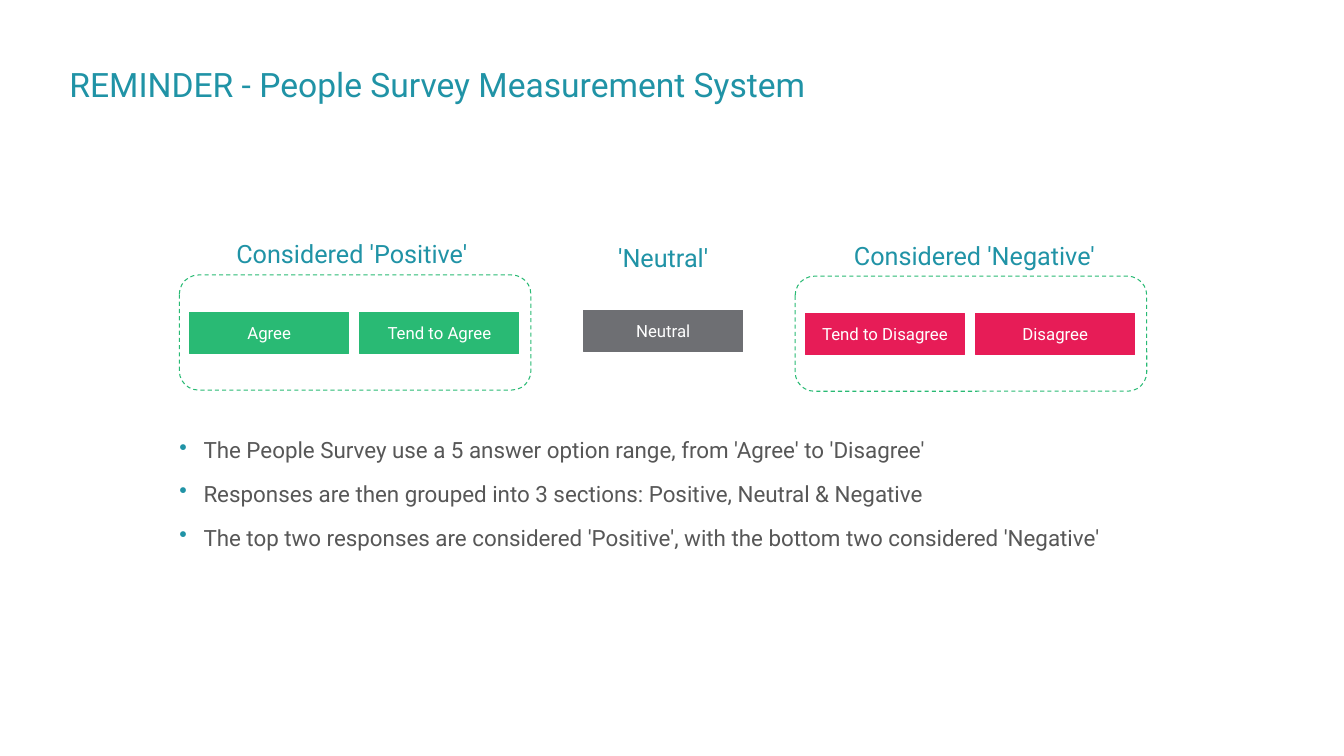
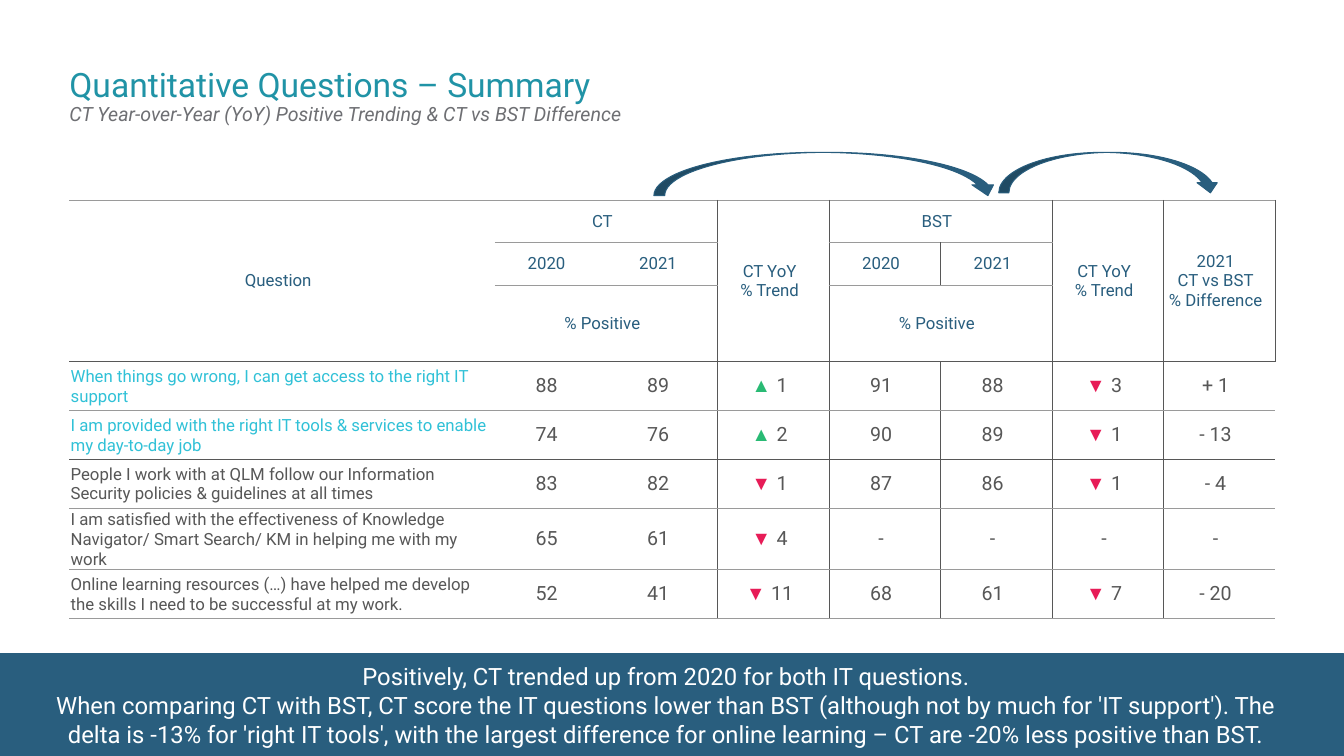
from lxml.etree import SubElement
from pptx import Presentation
from pptx.dml.color import RGBColor
from pptx.enum.dml import MSO_LINE
from pptx.enum.shapes import MSO_SHAPE
from pptx.enum.text import MSO_ANCHOR, PP_ALIGN
from pptx.oxml.ns import qn
from pptx.util import Cm, Pt

TEAL = "2093A6"
NAVY = "295E7E"
GREEN = "29BA74"
RED = "E71C57"
GREY = "6E6F73"
INK = "575757"
RULE = "9A9A9A"
AQUA = "30C1D7"
WHITE = "FFFFFF"

NO_STYLE = "{2D5ABB26-0587-4C30-8999-92F81FD0307C}"
TREND_COLOURS = {"▲": GREEN, "▼": RED}
THIN_RULE = (RULE, 0.75)
DARK_RULE = (INK, 1)

COLUMN_WIDTHS = [10.72] + [2.81] * 7
ROW_HEIGHTS = [1.07, 1.07, 1.91, 1.23, 1.23, 1.23, 1.52, 1.23]
HEADERS = [
    (0, 0, 2, 0, ["Question"]),
    (0, 1, 0, 2, ["CT"]),
    (0, 3, 2, 3, ["CT YoY", "% Trend"]),
    (0, 4, 0, 5, ["BST"]),
    (0, 6, 2, 6, ["CT YoY", "% Trend"]),
    (0, 7, 2, 7, ["2021", "CT vs BST", "% Difference"]),
    (1, 1, 1, 1, ["2020"]),
    (1, 2, 1, 2, ["2021"]),
    (1, 4, 1, 4, ["2020"]),
    (1, 5, 1, 5, ["2021"]),
    (2, 1, 2, 2, ["% Positive"]),
    (2, 4, 2, 5, ["% Positive"]),
]
RESULTS = [
    (AQUA, "When things go wrong, I can get access to the right IT support",
     ["88", "89", "▲ 1", "91", "88", "▼ 3", "+ 1"]),
    (AQUA, "I am provided with the right IT tools & services to enable my day-to-day job",
     ["74", "76", "▲ 2", "90", "89", "▼ 1", "- 13"]),
    (INK, "People I work with at QLM follow our Information Security policies & guidelines at all times",
     ["83", "82", "▼ 1", "87", "86", "▼ 1", "- 4"]),
    (INK, "I am satisfied with the effectiveness of Knowledge Navigator/ Smart Search/ KM in helping me with my work",
     ["65", "61", "▼ 4", "-", "-", "-", "-"]),
    (INK, "Online learning resources (…) have helped me develop the skills I need to be successful at my work.",
     ["52", "41", "▼ 11", "68", "61", "▼ 7", "- 20"]),
]


def colour(value):
    return RGBColor.from_string(value)


def apply_format(target, values):
    for name, value in values.items():
        setattr(target, name, value)


def margins(left, top, right, bottom):
    sides = zip(("left", "top", "right", "bottom"), (left, top, right, bottom))
    return {f"margin_{side}": Cm(size) for side, size in sides}


def place(left, top, width, height):
    return [Cm(length) for length in (left, top, width, height)]


def add_span(para, text, size, shade, **extra):
    span = para.add_run()
    span.text = text
    apply_format(span.font, {"name": "Roboto", "size": Pt(size), **extra})
    span.font.color.rgb = colour(shade)


def write_lines(frame, lines, size, shade, align=PP_ALIGN.CENTER):
    for index, line in enumerate(lines):
        para = frame.add_paragraph() if index else frame.paragraphs[0]
        para.alignment = align
        add_span(para, line, size, shade)


def add_box(page, area, **frame_format):
    frame = page.shapes.add_textbox(*place(*area)).text_frame
    apply_format(frame, {"word_wrap": True, **frame_format})
    return frame


def add_shape(page, kind, area, fill=None, line=None):
    shape = page.shapes.add_shape(kind, *place(*area))
    shape.shadow.inherit = False
    if fill:
        shape.fill.solid()
        shape.fill.fore_color.rgb = colour(fill)
    else:
        shape.fill.background()
    shape.line.color.rgb = colour(line or fill)
    shape.line.width = Pt(0.75)
    return shape


def add_title(page, title, subtitle=None):
    frame = add_box(page, (1.75, 1.73, 30.38, 0.91), **margins(0, 0, 0, 0))
    para = frame.paragraphs[0]
    para.line_spacing = 0.9
    add_span(para, title, 24, TEAL)
    if subtitle:
        para.add_line_break()
        add_span(para, subtitle, 14, GREY, italic=True)


def add_heading(page, area, text):
    frame = add_box(page, area, vertical_anchor=MSO_ANCHOR.MIDDLE)
    write_lines(frame, [text], 18, TEAL)


def add_answer(page, left, top, text, fill):
    button = add_shape(page, MSO_SHAPE.RECTANGLE, (left, top, 4.01, 1.04), fill)
    apply_format(button.text_frame, {"word_wrap": True, "vertical_anchor": MSO_ANCHOR.MIDDLE})
    write_lines(button.text_frame, [text], 12, WHITE)


def add_answer_group(page, left, top, answers, fill):
    frame = add_shape(page, MSO_SHAPE.ROUNDED_RECTANGLE, (left, top, 8.86, 2.9), line=GREEN)
    frame.line.dash_style = MSO_LINE.DASH
    for index, answer in enumerate(answers):
        add_answer(page, left + 0.26 + index * 4.29, top + 0.94, answer, fill)


def add_bullets(page, area, lines):
    frame = add_box(page, area, **margins(0, 0, 0, 0))
    write_lines(frame, lines, 16, INK, PP_ALIGN.LEFT)
    for index, para in enumerate(frame.paragraphs):
        para.space_before = Pt(12 if index else 0)
        properties = para._p.get_or_add_pPr()
        properties.set("marL", str(Cm(0.89)))
        properties.set("indent", str(Cm(-0.61)))
        bullet_colour = SubElement(properties, qn("a:buClr"))
        SubElement(bullet_colour, qn("a:srgbClr"), val=TEAL)
        SubElement(properties, qn("a:buChar"), char="•")


def row_rule(edge, column):
    if edge in (1, 2) and column not in (1, 2, 4, 5):
        return None
    return DARK_RULE if edge in (3, 5) else THIN_RULE


def column_rule(edge):
    return DARK_RULE if edge in (3, 4, 6, 7) else None


def set_borders(cell, row, column):
    rules = {
        "a:lnL": column_rule(column),
        "a:lnR": column_rule(column + cell.span_width),
        "a:lnT": row_rule(row, column),
        "a:lnB": row_rule(row + cell.span_height, column),
    }
    properties = cell._tc.get_or_add_tcPr()
    for tag, rule in rules.items():
        if rule:
            shade, width = rule
            line = SubElement(properties, qn(tag), w=str(Pt(width)))
            fill = SubElement(line, qn("a:solidFill"))
            SubElement(fill, qn("a:srgbClr"), val=shade)


def fill_value(cell, value):
    para = cell.text_frame.paragraphs[0]
    para.alignment = PP_ALIGN.CENTER
    if value[0] in TREND_COLOURS:
        add_span(para, value[:2], 14, TREND_COLOURS[value[0]], name="Arial")
        value = value[2:]
    add_span(para, value, 14, INK)


def add_results_table(page, left, top):
    area = place(left, top, sum(COLUMN_WIDTHS), sum(ROW_HEIGHTS))
    table = page.shapes.add_table(len(ROW_HEIGHTS), len(COLUMN_WIDTHS), *area).table
    apply_format(table, {"first_row": False, "horz_banding": False})
    table._tbl.tblPr.find(qn("a:tableStyleId")).text = NO_STYLE
    for column, width in zip(table.columns, COLUMN_WIDTHS):
        column.width = Cm(width)
    for row, height in zip(table.rows, ROW_HEIGHTS):
        row.height = Cm(height)

    for row, column, last_row, last_column, lines in HEADERS:
        cell = table.cell(row, column)
        if (row, column) != (last_row, last_column):
            cell.merge(table.cell(last_row, last_column))
        write_lines(cell.text_frame, lines, 12, NAVY)
    for row, (shade, question, values) in enumerate(RESULTS, 3):
        write_lines(table.cell(row, 0).text_frame, [question], 12, shade, PP_ALIGN.LEFT)
        for column, value in enumerate(values, 1):
            fill_value(table.cell(row, column), value)

    for row in range(len(ROW_HEIGHTS)):
        for column in range(len(COLUMN_WIDTHS)):
            cell = table.cell(row, column)
            is_question = row > 2 and column == 0
            padding = (0.03, 0.03, 0.03, 0) if is_question else (0, 0.2, 0.2, 0.2)
            apply_format(cell, {"vertical_anchor": MSO_ANCHOR.MIDDLE, **margins(*padding)})
            set_borders(cell, row, column)
            cell.fill.background()


def add_banner(page, lines):
    banner = add_shape(page, MSO_SHAPE.RECTANGLE, (0, 16.48, 33.87, 2.57), NAVY)
    apply_format(banner.text_frame, {
        "word_wrap": True, "vertical_anchor": MSO_ANCHOR.MIDDLE, **margins(1.02, 0.13, 1.32, 0.13)})
    write_lines(banner.text_frame, lines, 17, WHITE)


def build_measurement_page(page):
    add_title(page, "REMINDER - People Survey Measurement System")
    add_bullets(page, (4.24, 11, 24.66, 4.01), [
        "The People Survey use a 5 answer option range, from 'Agree' to 'Disagree'",
        "Responses are then grouped into 3 sections: Positive, Neutral & Negative",
        "The top two responses are considered 'Positive', with the bottom two considered 'Negative'",
    ])
    add_heading(page, (3.51, 5.82, 10.72, 1.14), "Considered 'Positive'")
    add_heading(page, (13.39, 5.87, 6.65, 1.24), "'Neutral'")
    add_heading(page, (19.2, 5.82, 10.72, 1.24), "Considered 'Negative'")
    add_answer_group(page, 4.52, 6.93, ["Agree", "Tend to Agree"], GREEN)
    add_answer(page, 14.71, 7.82, "Neutral", GREY)
    add_answer_group(page, 20.04, 6.96, ["Tend to Disagree", "Disagree"], RED)


def build_summary_page(page):
    add_title(page, "Quantitative Questions – Summary",
              "CT Year-over-Year (YoY) Positive Trending & CT vs BST Difference")
    add_results_table(page, 1.75, 5.05)
    add_banner(page, [
        "Positively, CT trended up from 2020 for both IT questions.",
        "When comparing CT with BST, CT score the IT questions lower than BST (although not by much "
        "for 'IT support'). The delta is -13% for 'right IT tools', with the largest difference for "
        "online learning – CT are -20% less positive than BST.",
    ])
    for area in [(16.48, 3.84, 8.69, 1.09), (25.17, 3.84, 5.59, 1.02)]:
        add_shape(page, MSO_SHAPE.CURVED_DOWN_ARROW, area, NAVY)


def main():
    deck = Presentation()
    apply_format(deck, {"slide_width": Cm(33.87), "slide_height": Cm(19.05)})
    for build in (build_measurement_page, build_summary_page):
        build(deck.slides.add_slide(deck.slide_layouts[6]))
    deck.save("out.pptx")


if __name__ == "__main__":
    main()
